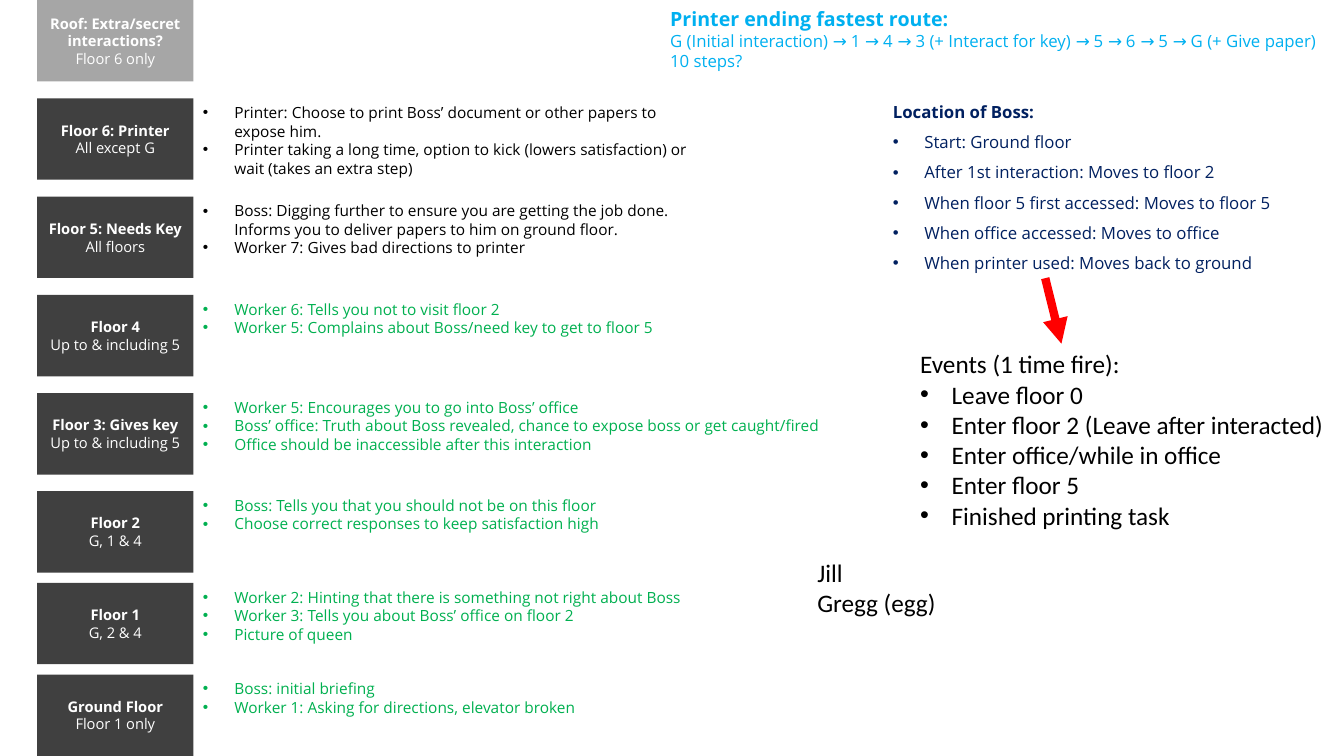
"""Build the floor-by-floor plan of the office printer game."""
from dataclasses import dataclass

from lxml import etree
from pptx import Presentation
from pptx import util as u
from pptx.dml.color import RGBColor
from pptx.enum import shapes, text
from pptx.oxml import ns

WHITE = RGBColor(0xFF, 0xFF, 0xFF)
BLACK = RGBColor(0x00, 0x00, 0x00)
DARK_GREY = RGBColor(0x40, 0x40, 0x40)
LIGHT_GREY = RGBColor(0xA6, 0xA6, 0xA6)
SKY_BLUE = RGBColor(0x00, 0xB0, 0xF0)
NAVY = RGBColor(0x00, 0x20, 0x60)
GREEN = RGBColor(0x00, 0xB0, 0x50)
RED = RGBColor(0xFF, 0x00, 0x00)

FLOOR_LEFT, FLOOR_WIDTH, FLOOR_HEIGHT = 26.6, 111.6, 58.2
NOTE_LEFT, NOTE_WIDTH = 137.8, 370.8
BULLET_INDENT = 22.5


@dataclass(frozen=True)
class Floor:
    name: str
    access: str
    top: float
    notes: tuple[str, ...] = ()
    note_color: RGBColor = GREEN
    note_width: float = NOTE_WIDTH
    fill: RGBColor = DARK_GREY


@dataclass(frozen=True)
class TextBlock:
    left: float
    top: float
    width: float
    height: float
    size: float
    color: RGBColor
    font: str = "Open Sans"
    heading: str = ""
    heading_size: float = 0
    heading_bold: bool = False
    lines: tuple[str, ...] = ()
    bulleted: bool = True
    spacing: float = 1.0


FLOORS = (
    Floor("Roof: Extra/secret interactions?", "Floor 6 only", 0, fill=LIGHT_GREY),
    Floor("Floor 6: Printer", "All except G", 70.2, (
        "Printer: Choose to print Boss’ document or other papers to expose him.",
        "Printer taking a long time, option to kick (lowers satisfaction) or wait (takes an extra step)",
    ), BLACK),
    Floor("Floor 5: Needs Key", "All floors", 140.4, (
        "Boss: Digging further to ensure you are getting the job done. "
        "Informs you to deliver papers to him on ground floor.",
        "Worker 7: Gives bad directions to printer",
    ), BLACK),
    Floor("Floor 4", "Up to & including 5", 210.6, (
        "Worker 6: Tells you not to visit floor 2",
        "Worker 5: Complains about Boss/need key to get to floor 5",
    )),
    Floor("Floor 3: Gives key", "Up to & including 5", 280.8, (
        "Worker 5: Encourages you to go into Boss’ office",
        "Boss’ office: Truth about Boss revealed, chance to expose boss or get caught/fired",
        "Office should be inaccessible after this interaction",
    ), note_width=483.8),
    Floor("Floor 2", "G, 1 & 4", 350.8, (
        "Boss: Tells you that you should not be on this floor",
        "Choose correct responses to keep satisfaction high",
    )),
    Floor("Floor 1", "G, 2 & 4", 416.3, (
        "Worker 2: Hinting that there is something not right about Boss",
        "Worker 3: Tells you about Boss’ office on floor 2",
        "Picture of queen",
    )),
    Floor("Ground Floor", "Floor 1 only", 481.8, (
        "Boss: initial briefing",
        "Worker 1: Asking for directions, elevator broken",
    )),
)

TEXT_BLOCKS = (
    TextBlock(471.6, 1.4, 488.4, 53.3, 12, SKY_BLUE,
              heading="Printer ending fastest route:", heading_size=14, heading_bold=True,
              lines=("G (Initial interaction) → 1 → 4 → 3 (+ Interact for key) → 5 → 6 → 5 → G (+ Give paper)",
                     "10 steps?"),
              bulleted=False),
    TextBlock(630.7, 61.9, 300.2, 136.1, 12, NAVY,
              heading="Location of Boss:", heading_size=12, heading_bold=True,
              lines=("Start: Ground floor",
                     "After 1st interaction: Moves to floor 2",
                     "When floor 5 first accessed: Moves to floor 5",
                     "When office accessed: Moves to office",
                     "When printer used: Moves back to ground"),
              spacing=1.5),
    TextBlock(650.2, 245.5, 309.6, 138.2, 18, BLACK, "Calibri",
              heading="Events (1 time fire):", heading_size=18,
              lines=("Leave floor 0",
                     "Enter floor 2 (Leave after interacted)",
                     "Enter office/while in office",
                     "Enter floor 5",
                     "Finished printing task")),
    TextBlock(576.7, 394.6, 245.5, 72.7, 18, BLACK, "Calibri",
              lines=("Jill", "Gregg (egg)"), bulleted=False),
)


def write_paragraph(frame, words: str, *, size: float, color: RGBColor, font: str = "Open Sans",
                    bold: bool = False, bulleted: bool = False, spacing: float = 1.0,
                    align=text.PP_ALIGN.LEFT) -> None:
    paragraph = frame.paragraphs[0]
    if paragraph.runs:
        paragraph = frame.add_paragraph()
    paragraph.alignment = align
    paragraph.line_spacing = spacing
    if bulleted:
        properties = paragraph._p.get_or_add_pPr()
        properties.set("marL", str(u.Pt(BULLET_INDENT)))
        properties.set("indent", str(-u.Pt(BULLET_INDENT)))
        etree.SubElement(properties, ns.qn("a:buFont"), typeface="Arial")
        etree.SubElement(properties, ns.qn("a:buChar"), char="•")
    run = paragraph.add_run()
    run.text = words
    run.font.name = font
    run.font.size = u.Pt(size)
    run.font.bold = bold
    run.font.color.rgb = color


def draw_floor(group, floor: Floor) -> None:
    shape = group.shapes.add_shape(shapes.MSO_SHAPE.RECTANGLE, u.Pt(FLOOR_LEFT), u.Pt(floor.top),
                                   u.Pt(FLOOR_WIDTH), u.Pt(FLOOR_HEIGHT))
    shape.shadow.inherit = False
    shape.fill.solid()
    shape.fill.fore_color.rgb = floor.fill
    shape.line.fill.background()
    frame = shape.text_frame
    frame.word_wrap = True
    frame.vertical_anchor = text.MSO_ANCHOR.MIDDLE
    for words, bold in ((floor.name, True), (floor.access, False)):
        write_paragraph(frame, words, size=10.5, color=WHITE, bold=bold, align=text.PP_ALIGN.CENTER)


def draw_text_block(slide, block: TextBlock) -> None:
    shape = slide.shapes.add_textbox(u.Pt(block.left), u.Pt(block.top), u.Pt(block.width), u.Pt(block.height))
    frame = shape.text_frame
    frame.word_wrap = True
    frame.auto_size = text.MSO_AUTO_SIZE.SHAPE_TO_FIT_TEXT
    if block.heading:
        write_paragraph(frame, block.heading, size=block.heading_size, color=block.color,
                        font=block.font, bold=block.heading_bold, spacing=block.spacing)
    for line in block.lines:
        write_paragraph(frame, line, size=block.size, color=block.color, font=block.font,
                        bulleted=block.bulleted, spacing=block.spacing)


def draw_arrow(slide, start: tuple[float, float], end: tuple[float, float]) -> None:
    arrow = slide.shapes.add_connector(shapes.MSO_CONNECTOR.STRAIGHT, *map(u.Pt, start + end))
    arrow.line.color.rgb = RED
    arrow.line.width = u.Pt(6)
    etree.SubElement(arrow.line._get_or_add_ln(), ns.qn("a:tailEnd"), type="triangle")
    etree.SubElement(arrow._element.spPr, ns.qn("a:effectLst"))


def main() -> None:
    presentation = Presentation()
    presentation.slide_width, presentation.slide_height = u.Pt(960), u.Pt(540)
    slide = presentation.slides.add_slide(presentation.slide_layouts.get_by_name("Blank"))
    tower = slide.shapes.add_group_shape()
    for floor in FLOORS:
        draw_floor(tower, floor)
        if floor.notes:
            draw_text_block(slide, TextBlock(NOTE_LEFT, floor.top, floor.note_width, 47.5, 11,
                                             floor.note_color, lines=floor.notes))
    for block in TEXT_BLOCKS:
        draw_text_block(slide, block)
    draw_arrow(slide, (746.6, 198.7), (758.2, 245.5))
    presentation.save("out.pptx")


if __name__ == "__main__":
    main()
